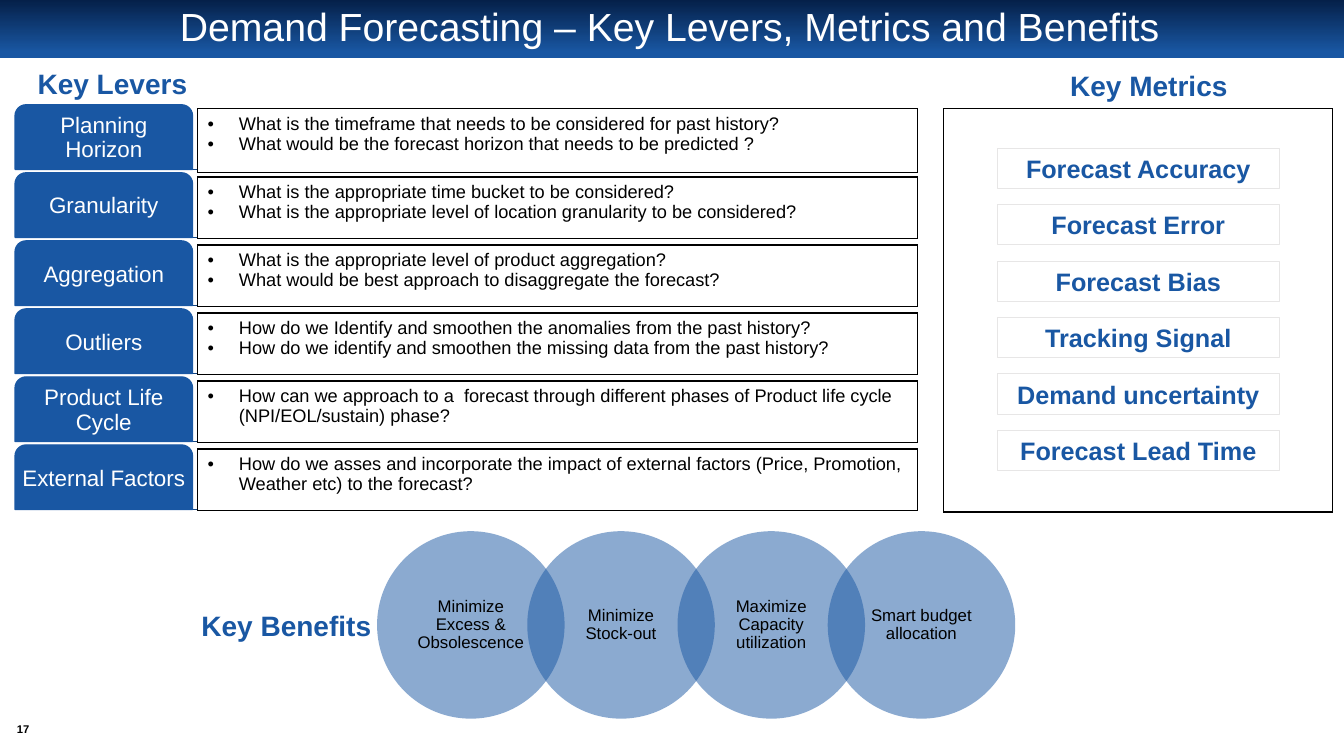
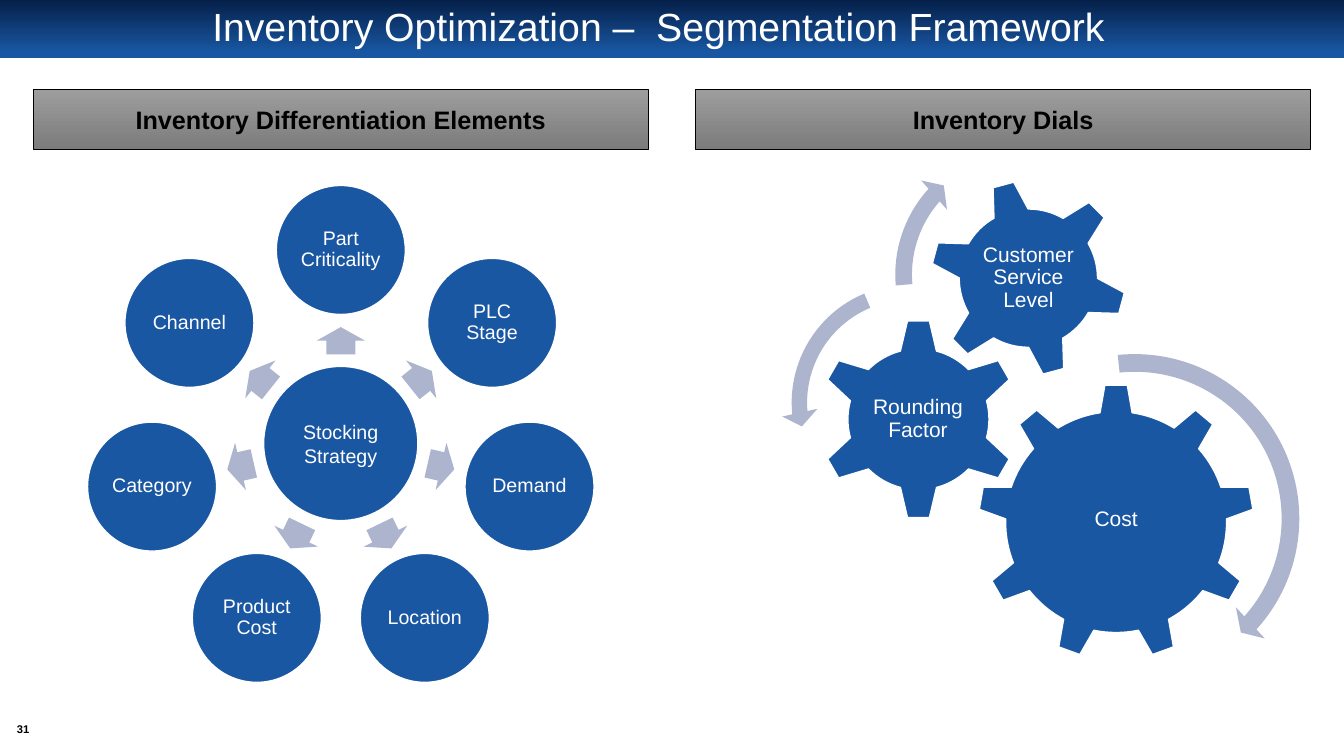
from dataclasses import dataclass
from math import cos, radians, sin

from lxml.etree import SubElement as Sub
from pptx import Presentation
from pptx.dml.color import RGBColor as Rgb
from pptx.enum.shapes import MSO_CONNECTOR as Link, MSO_SHAPE as Kind
from pptx.enum.text import MSO_ANCHOR as Anchor, MSO_AUTO_SIZE as Fit, PP_ALIGN as Align
from pptx.oxml.ns import qn
from pptx.util import Inches, Pt


@dataclass(frozen=True)
class Theme:
    font: str = "Arial"
    blue: str = "1957A3"
    navy: str = "052049"
    edge: str = "144683"
    pale: str = "ACB4CE"
    mist: str = "E7E6E6"
    light: str = "9D9D9D"
    dark: str = "7C7C7C"
    white: str = "FFFFFF"
    black: str = "000000"
    title: int = 28
    head: int = 20
    label: int = 18
    tab: int = 16
    gear: int = 15
    node: int = 14
    body: int = 13
    small: int = 12
    page: int = 8


class Deck:
    def __init__(self, theme):
        self.theme = theme
        self.file = Presentation()
        self.file.slide_width = Inches(13.33)
        self.file.slide_height = Inches(7.5)
        self.slide = None

    def start(self, title, page, shift=0):
        t = self.theme
        self.slide = self.file.slides.add_slide(self.file.slide_layouts[5])
        band = self.shape(Kind.RECTANGLE, (0, 0, 13.33, 0.58))
        self.blend(band, t.navy, t.blue, 0.9)
        self.slide.shapes._spTree.insert(2, band._element)
        head = self.slide.shapes.title
        self.place(head, (0.66 + shift, 0.06, 11.96, 0.45))
        self.fill_text(head.text_frame, [title], t.title, t.white, tight=0.9)
        self.text(str(page), (0.08, 7.14, 0.3, 0.19), t.page, t.black,
                  bold=True, pad=(0, 0), wrap=False)

    def place(self, item, box):
        item.left, item.top, item.width, item.height = map(Inches, box)

    def style(self, para, size, color, bold=False, align=Align.CENTER, tight=1.0):
        para.alignment = align
        para.line_spacing = tight
        font = para.font
        font.name, font.size, font.bold = self.theme.font, Pt(size), bold
        font.color.rgb = Rgb.from_string(color)

    def fill_text(self, frame, lines, size, color, bold=False, align=Align.CENTER,
                  tight=1.0, pad=(0.1, 0.05), anchor=Anchor.MIDDLE, wrap=True):
        frame.auto_size = Fit.NONE
        frame.word_wrap = wrap
        frame.vertical_anchor = anchor
        frame.margin_left = frame.margin_right = Inches(pad[0])
        frame.margin_top = frame.margin_bottom = Inches(pad[1])
        for i, line in enumerate(lines):
            para = frame.add_paragraph() if i else frame.paragraphs[0]
            para.text = line
            self.style(para, size, color, bold, align, tight)

    def paint(self, item, fill=None, line=None, width=1):
        if fill:
            item.fill.solid()
            item.fill.fore_color.rgb = Rgb.from_string(fill)
        else:
            item.fill.background()
        if line:
            item.line.color.rgb = Rgb.from_string(line)
            item.line.width = Pt(width)
        else:
            item.line.fill.background()

    def blend(self, item, first, last, end=1.0):
        item.fill.gradient()
        item.fill.gradient_angle = 270
        stops = item.fill.gradient_stops
        for stop, color, pos in zip(stops, (first, last), (0, end)):
            stop.color.rgb = Rgb.from_string(color)
            stop.position = pos

    def shape(self, kind, box, fill=None, line=None, width=1, adj=(), turn=0, alpha=None):
        item = self.slide.shapes.add_shape(kind, *map(Inches, box))
        item.shadow.inherit = False
        item.rotation = turn
        for i, value in enumerate(adj):
            item.adjustments[i] = value
        self.paint(item, fill, line, width)
        if alpha:
            color = item._element.spPr.find(".//" + qn("a:srgbClr"))
            Sub(color, qn("a:alpha"), val=str(alpha * 1000))
        return item

    def text(self, words, box, size, color, fill=None, line=None, **look):
        item = self.slide.shapes.add_textbox(*map(Inches, box))
        self.paint(item, fill, line, 0.75)
        self.fill_text(item.text_frame, [words], size, color, **look)

    def head(self, words, box):
        t = self.theme
        self.text(words, box, t.head, t.blue, fill=t.white, bold=True, wrap=False)

    def bar(self, words, box):
        t = self.theme
        item = self.shape(Kind.RECTANGLE, box, line=t.black, width=0.5)
        self.blend(item, t.light, t.dark)
        self.fill_text(item.text_frame, [words], t.label, t.black, bold=True)

    def rule(self, left, right, top):
        item = self.slide.shapes.add_connector(
            Link.STRAIGHT, Inches(left), Inches(top), Inches(right), Inches(top))
        item.line.color.rgb = Rgb.from_string(self.theme.edge)
        item.line.width = Pt(1)
        Sub(item._element.spPr, qn("a:effectLst"))

    def panel(self, box, lines=()):
        t = self.theme
        table = self.slide.shapes.add_table(1, 1, *map(Inches, box)).table
        table.first_row = table.horz_banding = False
        cell = table.cell(0, 0)
        for i, line in enumerate(lines):
            frame = cell.text_frame
            para = frame.add_paragraph() if i else frame.paragraphs[0]
            para.text = line
            prop = para._p.get_or_add_pPr()
            prop.set("marL", str(Inches(0.31)))
            prop.set("indent", str(-Inches(0.31)))
            Sub(prop, qn("a:buFont"), typeface=t.font)
            Sub(prop, qn("a:buChar"), char="•")
            self.style(para, t.body, t.black, align=Align.LEFT)
        prop = cell._tc.get_or_add_tcPr()
        for side in ("lnL", "lnR", "lnT", "lnB"):
            edge = Sub(prop, qn("a:" + side), w=str(Pt(1)))
            Sub(Sub(edge, qn("a:solidFill")), qn("a:srgbClr"), val=t.black)
        cell.fill.solid()
        cell.fill.fore_color.rgb = Rgb.from_string(t.white)

    def disc(self, words, mid, size, tight=0.9):
        t = self.theme
        x, y = mid
        item = self.shape(Kind.OVAL, (x - size / 2, y - size / 2, size, size),
                          t.blue, t.white)
        self.fill_text(item.text_frame, [words], t.node, t.white,
                       tight=tight, pad=(0.02, 0.02))

    def gear(self, words, kind, box, area, turn=0):
        t = self.theme
        self.shape(kind, box, t.blue, t.white, turn=turn)
        self.text(words, area, t.gear, t.white, tight=0.9, pad=(0.02, 0.02))


LEVERS = [
    ("Planning Horizon",
     ["What is the timeframe that needs to be considered for past history?",
      "What would be the forecast horizon that needs to be predicted ?"]),
    ("Granularity",
     ["What is the appropriate time bucket to be considered?",
      "What is the appropriate level of location granularity to be considered?"]),
    ("Aggregation",
     ["What is the appropriate level of product aggregation?",
      "What would be best approach to disaggregate the forecast?"]),
    ("Outliers",
     ["How do we Identify and smoothen the anomalies from the past history?",
      "How do we identify and smoothen the missing data from the past history?"]),
    ("Product Life Cycle",
     ["How can we approach to a  forecast through different phases of "
      "Product life cycle (NPI/EOL/sustain) phase?"]),
    ("External Factors",
     ["How do we asses and incorporate the impact of external factors "
      "(Price, Promotion, Weather etc) to the forecast?"]),
]
METRICS = ["Forecast Accuracy", "Forecast Error", "Forecast Bias",
           "Tracking Signal", "Demand uncertainty", "Forecast Lead Time"]
GAINS = ["Minimize Excess & Obsolescence", "Minimize Stock-out",
         "Maximize Capacity utilization", "Smart budget allocation"]
NODES = ["Part Criticality", "PLC Stage", "Demand", "Location",
         "Product Cost", "Category", "Channel"]


def demand(deck):
    t = deck.theme
    deck.start("Demand Forecasting – Key Levers, Metrics and Benefits", 17)
    deck.head("Key Benefits", (1.89, 5.98, 1.9, 0.44))
    deck.head("Key Metrics", (10.51, 0.63, 1.77, 0.44))
    deck.head("Key Levers", (0.27, 0.61, 1.69, 0.44))
    for i, (name, asks) in enumerate(LEVERS):
        drop = i * 0.675
        deck.rule(0.15, 6.93, 1.68 + drop)
        tab = deck.shape(Kind.ROUND_2_SAME_RECTANGLE, (0.15, 1.04 + drop, 1.76, 0.64),
                         t.blue, t.blue, adj=(0.17, 0))
        deck.fill_text(tab.text_frame, [name], t.tab, t.white, tight=0.9, pad=(0.03, 0.03))
        deck.panel((1.96, 1.08 + drop, 7.14, 0.61 if i else 0.63), asks)
    deck.panel((9.36, 1.08, 3.86, 4))
    for i, name in enumerate(METRICS):
        deck.text(name, (9.89, 1.47 + i * 0.56, 2.8, 0.4), t.label, t.blue,
                  line=t.mist, bold=True)
    for i, name in enumerate(GAINS):
        ring = deck.shape(Kind.OVAL, (3.74 + i * 1.49, 5.27, 1.86, 1.86),
                          t.blue, alpha=50)
        deck.fill_text(ring.text_frame, [name], t.small, t.black, tight=0.9, pad=(0.1, 0.02))


def stock(deck):
    t = deck.theme
    deck.start("Inventory Optimization –  Segmentation Framework", 31, -0.11)
    deck.bar("Inventory Differentiation Elements", (0.33, 0.89, 6.1, 0.59))
    deck.bar("Inventory Dials", (6.9, 0.89, 6.1, 0.59))

    deck.gear("Cost", Kind.GEAR_9, (9.7, 3.81, 2.74, 2.74), (10.25, 4.45, 1.64, 1.41))
    deck.gear("Rounding Factor", Kind.GEAR_6, (8.11, 3.16, 2, 2),
              (8.61, 3.67, 0.99, 0.98))
    deck.gear("Customer Service Level", Kind.GEAR_6, (9.22, 1.78, 1.96, 1.96),
              (9.65, 2.21, 1.1, 1.1), 345)
    for kind, left, top, size, adj in (
        (Kind.CIRCULAR_ARROW, 9.5, 3.39, 3.51, (0.05, 2.99, 25.24, 158.44, 0.06)),
        (Kind.LEFT_CIRCULAR_ARROW, 7.75, 2.72, 2.55, (0.06, 4.3, 104.89, 148.38, 0.07)),
        (Kind.CIRCULAR_ARROW, 8.77, 1.35, 2.75, (0.06, 3.94, 133.14, 105.08, 0.07)),
    ):
        deck.shape(kind, (left, top, size, size), t.pale, adj=adj)

    x, y = 3.38, 4.4
    deck.disc("Stocking Strategy", (x, y), 1.53, 1.0)
    for i, name in enumerate(NODES):
        turn = i * 360 / len(NODES) - 90
        dx, dy = cos(radians(turn)), sin(radians(turn))
        deck.shape(Kind.RIGHT_ARROW, (x + 1.02 * dx - 0.135, y + 1.02 * dy - 0.24, 0.27, 0.48),
                   t.pale, adj=(0.6, 0.5), turn=turn % 360)
        deck.disc(name, (x + 1.92 * dx, y + 1.92 * dy), 1.28)


def main():
    deck = Deck(Theme())
    demand(deck)
    stock(deck)
    deck.file.save("out.pptx")


if __name__ == "__main__":
    main()
